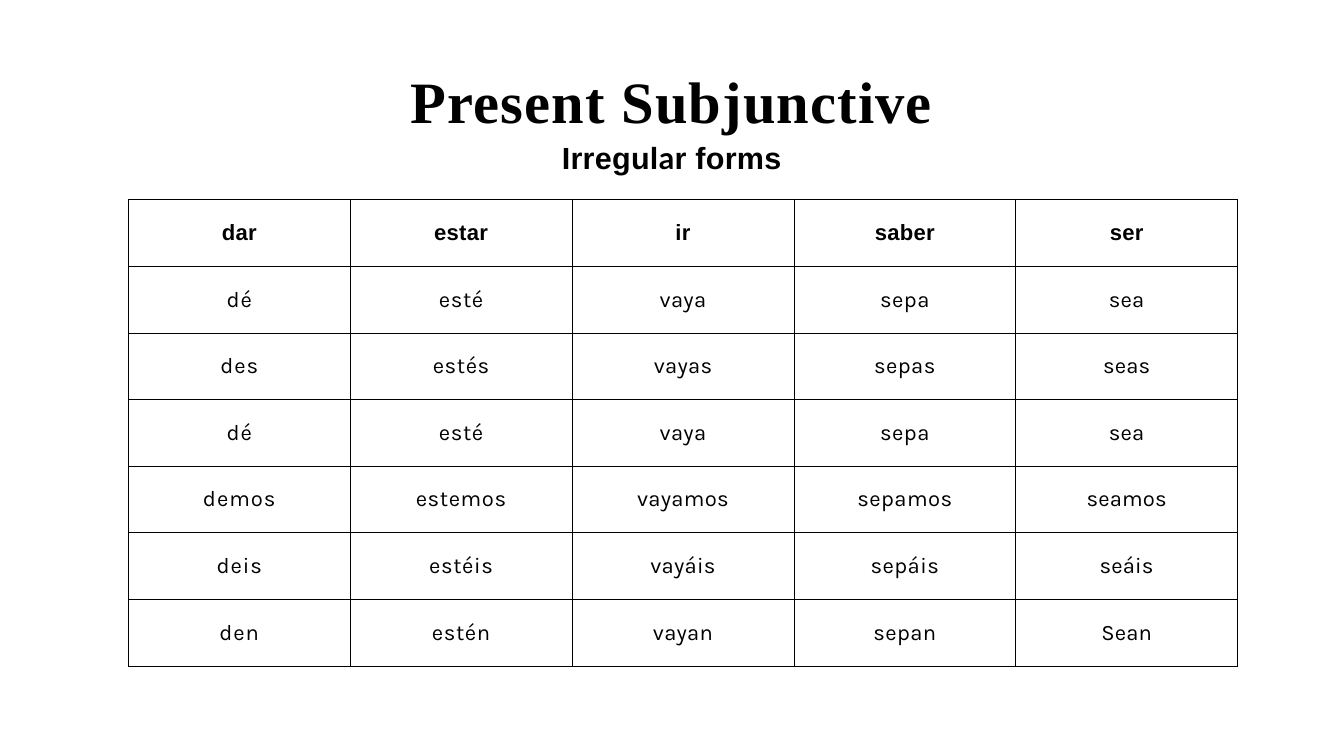
from dataclasses import dataclass

from lxml.etree import SubElement
from pptx import Presentation
from pptx.dml.color import RGBColor
from pptx.enum.text import MSO_ANCHOR, MSO_AUTO_SIZE, PP_ALIGN
from pptx.oxml.ns import qn
from pptx.util import Emu, Pt

PX = 9144  # one px is a hundredth of an inch


@dataclass(frozen=True)
class Theme:
    ink: RGBColor = RGBColor(0, 0, 0)
    paper: RGBColor = RGBColor(255, 255, 255)
    title_font: str = "Times New Roman"
    heading_font: str = "Arial"
    accent_font: str = "Lato"
    body_font: str = "Karla"
    title_size: int = 69
    subtitle_size: int = 36
    table_size: int = 26
    border_width: int = 1


HEADERS = ["dar", "estar", "ir", "saber", "ser"]
FORMS = [
    ["dé", "esté", "vaya", "sepa", "sea"],
    ["des", "estés", "vayas", "sepas", "seas"],
    ["dé", "esté", "vaya", "sepa", "sea"],
    ["demos", "estemos", "vayamos", "sepamos", "seamos"],
    ["deis", "estéis", "vayáis", "sepáis", "seáis"],
    ["den", "estén", "vayan", "sepan", "Sean"],
]
# Letter spacing in points
TITLE_SPACING = 1.4
HEADING_SPACING = 0.3
FORM_SPACINGS = [1.1, 0.7, 0.3, 0.5, 0.2]


class SlideBuilder:
    def __init__(self, deck, theme):
        self.theme = theme
        self.page = deck.slides.add_slide(deck.slide_layouts[5])
        self.page.background.fill.solid()
        self.page.background.fill.fore_color.rgb = theme.paper

    def fill_paragraph(self, para, spans, size, spacing, bold=True):
        """Fill a centred paragraph with (text, font name) spans."""
        para.alignment = PP_ALIGN.CENTER
        para.font.size = Pt(size)
        para.font.bold = bold
        para.font.color.rgb = self.theme.ink
        names = {name for _, name in spans}
        if len(names) == 1:
            para.font.name = names.pop()
        for text, name in spans:
            span = para.add_run()
            span.text = text
            if len(spans) > 1:
                span.font.name = name
            span._r.get_or_add_rPr().set("spc", str(round(spacing * 100)))

    def title(self, left, top, width, height, inset, title, subtitle):
        box = self.page.shapes.title
        box.left, box.top = Emu(left * PX), Emu(top * PX)
        box.width, box.height = Emu(width * PX), Emu(height * PX)
        frame = box.text_frame
        frame.word_wrap = True
        frame.auto_size = MSO_AUTO_SIZE.NONE
        frame.vertical_anchor = MSO_ANCHOR.TOP
        frame.margin_left = frame.margin_right = frame.margin_bottom = 0
        frame.margin_top = Emu(inset * PX)
        theme = self.theme
        self.fill_paragraph(frame.paragraphs[0], [(title, theme.title_font)],
                            theme.title_size, TITLE_SPACING)
        para = frame.add_paragraph()
        para.space_before = Pt(5)
        self.fill_paragraph(para, subtitle, theme.subtitle_size, HEADING_SPACING)

    def border(self, cell):
        properties = cell._tc.get_or_add_tcPr()
        for position, side in enumerate(("lnL", "lnR", "lnT", "lnB")):
            line = SubElement(properties, qn(f"a:{side}"),
                              w=str(Pt(self.theme.border_width)))
            fill = SubElement(line, qn("a:solidFill"))
            SubElement(fill, qn("a:srgbClr"), val=str(self.theme.ink))
            properties.insert(position, line)

    def table(self, left, top, column_width, row_height, rows):
        count = len(rows[0])
        table = self.page.shapes.add_table(
            len(rows), count, Emu(left * PX), Emu(top * PX),
            Emu(column_width * count * PX), Emu(row_height * len(rows) * PX)).table
        table.horz_banding = False
        for row_index, words in enumerate(rows):
            header = row_index == 0
            font = self.theme.heading_font if header else self.theme.body_font
            for column, word in enumerate(words):
                cell = table.cell(row_index, column)
                cell.margin_left = cell.margin_right = 0
                cell.margin_top = cell.margin_bottom = 0
                cell.vertical_anchor = MSO_ANCHOR.MIDDLE
                cell.fill.background()
                self.border(cell)
                spacing = HEADING_SPACING if header else FORM_SPACINGS[column]
                self.fill_paragraph(cell.text_frame.paragraphs[0], [(word, font)],
                                    self.theme.table_size, spacing, bold=header)


def main():
    deck = Presentation()
    deck.slide_width, deck.slide_height = Emu(2199 * PX), Emu(1237 * PX)
    theme = Theme()
    builder = SlideBuilder(deck, theme)

    # Title and subtitle
    subtitle = [("Irregul", theme.heading_font), ("a", theme.accent_font),
                ("r forms", theme.heading_font)]
    builder.title(593, 64, 1012, 222, 42, "Present Subjunctive", subtitle)

    # Conjugation table
    builder.table(210, 327, 363, 109, [HEADERS] + FORMS)

    deck.save("out.pptx")


if __name__ == "__main__":
    main()
